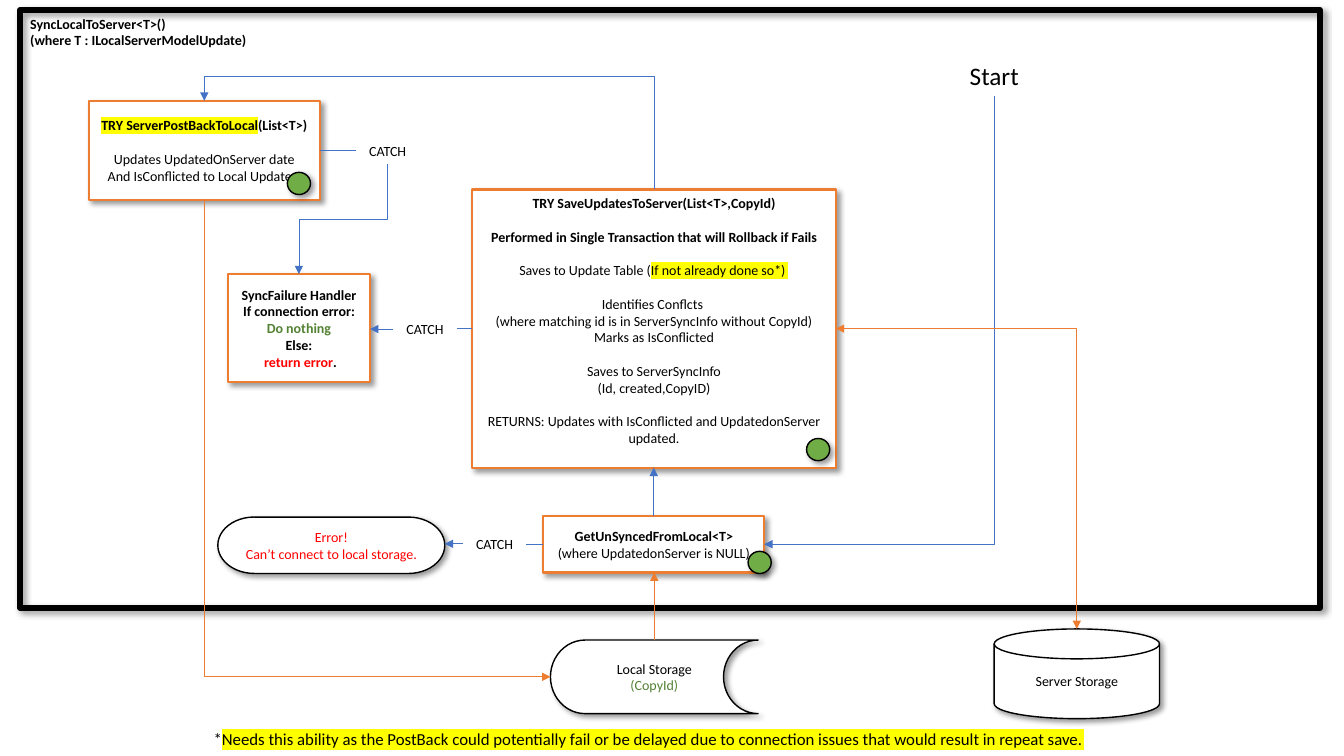
import pptx
import pptx.util
import pptx.dml.color
import pptx.enum.shapes
import pptx.enum.text
import pptx.oxml
import pptx.oxml.ns

SHAPE = pptx.enum.shapes.MSO_SHAPE
LINK = pptx.enum.shapes.MSO_CONNECTOR
ALIGN = pptx.enum.text.PP_ALIGN
ANCHOR = pptx.enum.text.MSO_ANCHOR
NS = pptx.oxml.ns.nsdecls("a")
qn = pptx.oxml.ns.qn
BLUE, ORANGE, GREEN, LIME = "4472C4", "ED7D31", "548235", "70AD47"
BLACK, WHITE, RED, YELLOW = "000000", "FFFFFF", "FF0000", "FFFF00"


def rgb(value):
    return pptx.dml.color.RGBColor.from_string(value)


def xml(text):
    return pptx.oxml.parse_xml(text.replace(" ", f" {NS} ", 1))


def cell(box, x, y, w, h):
    left, top, width, height = box
    return (round(left + width * x / 100), round(top + height * y / 100),
            round(width * w / 100), round(height * h / 100))


def port(box, x, y):
    return cell(box, x, y, 0, 0)[:2]


def write(tf, lines, size=10, bold=False, color=BLACK, align=ALIGN.CENTER,
          anchor=ANCHOR.MIDDLE, wrap=True):
    tf.word_wrap = wrap
    tf.auto_size = pptx.enum.text.MSO_AUTO_SIZE.NONE
    tf.vertical_anchor = anchor
    tf.margin_left = tf.margin_right = pptx.util.Inches(0.1)
    tf.margin_top = tf.margin_bottom = pptx.util.Inches(0.05)
    p, gap = None, 0
    for line in lines:
        if line is None:
            gap = size * 1.2
            continue
        p = tf.add_paragraph() if p is not None else tf.paragraphs[0]
        p.alignment = align
        p.space_before, gap = pptx.util.Pt(gap), 0
        for run in [line] if isinstance(line, str) else line:
            text, form = (run, {}) if isinstance(run, str) else run
            r = p.add_run()
            r.text = text
            r.font.name = "Calibri"
            r.font.size = pptx.util.Pt(size)
            r.font.bold = form.get("bold", bold)
            r.font.color.rgb = rgb(form.get("color", color))
            if "mark" in form:
                fill = r.font._element.find(qn("a:solidFill"))
                fill.addnext(xml(f'<a:highlight ><a:srgbClr val="{form["mark"]}"/></a:highlight>'))


def add_label(s, box, lines, **form):
    write(s.shapes.add_textbox(*box).text_frame, lines, **form)
    return box


def add_node(s, kind, box, lines=(), fill=WHITE, line=BLACK, weight=1, **form):
    sp = s.shapes.add_shape(kind, *box)
    if fill:
        sp.fill.solid()
        sp.fill.fore_color.rgb = rgb(fill)
    else:
        sp.fill.background()
    sp.line.color.rgb = rgb(line)
    sp.line.width = pptx.util.Pt(weight)
    sp.shadow.inherit = False
    sp._element.spPr.find(qn("a:effectLst")).append(xml(
        '<a:outerShdw blurRad="50800" dist="38100" dir="2700000" algn="tl" rotWithShape="0">'
        '<a:srgbClr val="000000"><a:alpha val="40000"/></a:srgbClr></a:outerShdw>'))
    if lines:
        write(sp.text_frame, lines, **form)
    return box


def add_link(s, a, b, color=BLUE, head=False, tail=True, bend=None, upright=False, adj=None):
    cx = s.shapes.add_connector(LINK.ELBOW if bend else LINK.STRAIGHT, *a, *b)
    cx.line.color.rgb = rgb(color)
    cx.line.width = pptx.util.Pt(0.5)
    spPr = cx._element.spPr
    ln = spPr.find(qn("a:ln"))
    for end, on in (("headEnd", head), ("tailEnd", tail)):
        if on:
            ln.append(xml(f'<a:{end} type="triangle"/>'))
    spPr.append(xml("<a:effectLst />"))
    if bend:
        geom = spPr.find(qn("a:prstGeom"))
        geom.set("prst", bend)
        if adj:
            guides = geom.find(qn("a:avLst"))
            guides.append(xml(f'<a:gd name="adj1" fmla="val {round(adj * 100000)}"/>'))
    if upright:
        dx, dy = b[0] - a[0], b[1] - a[1]
        cx.width, cx.height = abs(dy), abs(dx)
        cx.left = (a[0] + b[0] - cx.width) // 2
        cx.top = (a[1] + b[1] - cx.height) // 2
        xfrm = spPr.find(qn("a:xfrm"))
        xfrm.set("rot", str((90 if dy > 0 else 270) * 60000))
        xfrm.set("flipH", "0")
        xfrm.set("flipV", "1" if dx * dy > 0 else "0")


def sync_flow(s, box):
    add_node(s, SHAPE.FLOWCHART_PROCESS, box, fill=None, weight=4.5)
    title = s.shapes.title
    title.left, title.top, title.width, title.height = cell(box, 0, 0, 40, 8)
    write(title.text_frame, ["SyncLocalToServer<T>()", "(where T : ILocalServerModelUpdate)"],
          bold=True, align=ALIGN.LEFT, anchor=ANCHOR.TOP)
    plain, marked = {"bold": False}, {"mark": YELLOW}
    steps = {
        "get": ((40.26, 84.65, 16.99, 9.44), ANCHOR.MIDDLE, [
            "GetUnSyncedFromLocal<T>", [("(where UpdatedonServer is NULL)", plain)]]),
        "save": ((34.76, 30.02, 28.01, 46.54), ANCHOR.TOP, [
            "TRY SaveUpdatesToServer(List<T>,CopyId)", None,
            "Performed in Single Transaction that will Rollback if Fails", None,
            [("Saves to Update Table (", plain), ("If not already done so*) ", plain | marked)], None,
            [("Identifies Conflcts ", plain)],
            [("(where matching id is in ServerSyncInfo without CopyId)", plain)],
            [("Marks as IsConflicted", plain)], None,
            [("Saves to ServerSyncInfo", plain)], [("(Id, created,CopyID)", plain)], None,
            [("RETURNS: Updates with IsConflicted and UpdatedonServer updated.", plain)]]),
        "post": ((5.28, 15.18, 17.77, 16.53), ANCHOR.MIDDLE, [
            [("TRY ServerPostBackToLocal", marked), "(List<T>)"], None,
            [("Updates UpdatedOnServer date", plain)],
            [("And IsConflicted to Local Updates.", plain)]]),
        "handler": ((15.98, 44.18, 10.94, 18.04), ANCHOR.MIDDLE, [
            "SyncFailure Handler", "If connection error:", [("Do nothing", {"color": GREEN})],
            "Else:", [(" return error", {"color": RED}), "."]]),
    }
    at = {name: add_node(s, SHAPE.FLOWCHART_PROCESS, cell(box, *place), lines, line=ORANGE,
                         weight=1.5, bold=True, anchor=anchor)
          for name, (place, anchor, lines) in steps.items()}
    at["error"] = add_node(s, SHAPE.FLOWCHART_TERMINATOR, cell(box, 15.21, 84.82, 17.46, 9.44),
                           ["Error!", "Can’t connect to local storage."], color=RED)
    catches = {"get catch": (34.06, 87.02), "save catch": (28.7, 51.1), "post catch": (25.83, 21.25)}
    for name, (x, y) in catches.items():
        at[name] = add_label(s, cell(box, x, y, 4.89, 4.55), ["CATCH"])
    at["start"] = add_label(s, cell(box, 72.3, 7.59, 5.35, 6.75), ["Start"], size=18,
                            align=ALIGN.LEFT, anchor=ANCHOR.TOP, wrap=False)
    return at


def storage(s, box):
    return {
        "local": add_node(s, SHAPE.FLOWCHART_STORED_DATA, cell(box, 40.96, 21.77, 15.45, 49.66),
                          ["Local Storage", [("(CopyId)", {"color": GREEN})]]),
        "server": add_node(s, SHAPE.FLOWCHART_MAGNETIC_DISK, cell(box, 73.97, 14.29, 12.3, 60.54),
                           ["Server Storage"]),
    }


def footnote(s, box):
    note = ("Needs this ability as the PostBack could potentially fail or be delayed due to "
            "connection issues that would result in repeat save.")
    add_label(s, box, [["*", (note, {"mark": YELLOW})]], size=12, align=ALIGN.LEFT,
              anchor=ANCHOR.TOP, wrap=False)


def links(s, at):
    top, bottom, left, right = [{name: port(box, *share) for name, box in at.items()}
                                for share in ((50, 0), (50, 100), (0, 50), (100, 50))]

    def level(a, b, **form):
        add_link(s, a, (b[0], a[1]), **form)

    def rise(a, b, **form):
        add_link(s, a, (a[0], b[1]), **form)

    for step, target in (("get", "error"), ("save", "handler")):
        level(left[step], right[step + " catch"], tail=False)
        level(left[step + " catch"], right[target])
    level(right["post"], left["post catch"], tail=False)
    rise(top["get"], bottom["save"])
    rise(top["local"], bottom["get"], color=ORANGE)
    add_link(s, bottom["post catch"], top["handler"], bend="bentConnector3", upright=True, adj=0.5)
    add_link(s, top["save"], top["post"], bend="bentConnector3", upright=True, adj=1.28)
    add_link(s, bottom["start"], right["get"], bend="bentConnector2", upright=True)
    add_link(s, bottom["post"], left["local"], ORANGE, bend="bentConnector2", upright=True)
    add_link(s, right["save"], top["server"], ORANGE, head=True, bend="bentConnector2")


def status_dots(s, box):
    for x, y in ((56.01, 90.55), (60.51, 71.67), (20.56, 27.15)):
        add_node(s, SHAPE.OVAL, cell(box, x, y, 1.78, 3.71), fill=LIME)


prs = pptx.Presentation()
prs.slide_width, prs.slide_height = pptx.util.Inches(13.33), pptx.util.Inches(7.5)
s = prs.slides.add_slide(prs.slide_layouts[5])
page = (0, 0, prs.slide_width, prs.slide_height)
frame = cell(page, 1.5, 1.33, 96.7, 79.07)
places = sync_flow(s, frame) | storage(s, cell(page, 0, 80.4, 100, 19.6))
footnote(s, cell(page, 15.15, 95.73, 66.99, 4))
links(s, places)
status_dots(s, frame)
prs.save("out.pptx")
